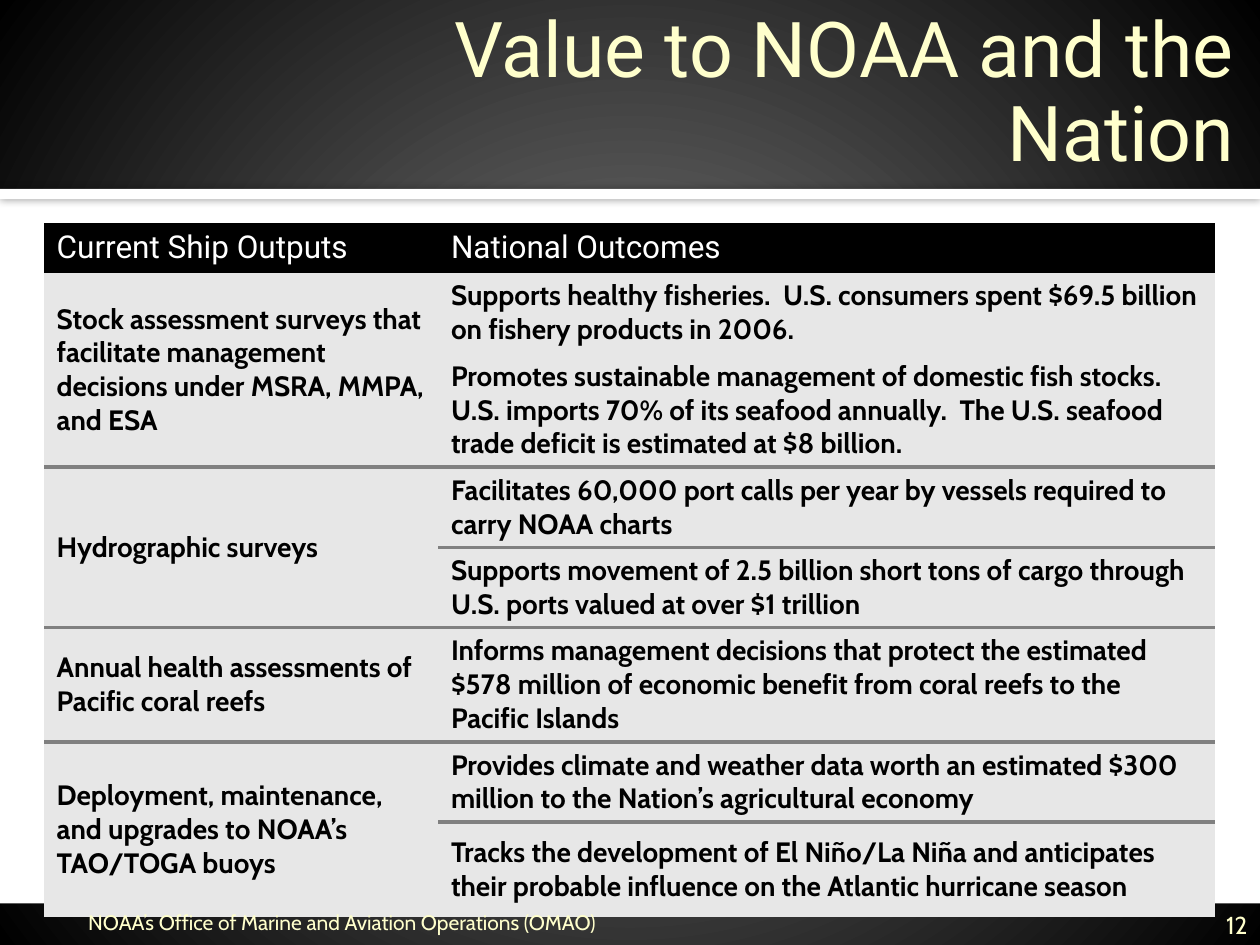
import pptx
import pptx.util
import pptx.dml.color
import pptx.enum.shapes
import pptx.enum.text
import pptx.oxml
import pptx.oxml.ns

Inches, Pt = pptx.util.Inches, pptx.util.Pt
PP, MSO = pptx.enum.text.PP_ALIGN, pptx.enum.text.MSO_ANCHOR
qn = pptx.oxml.ns.qn
NS = pptx.oxml.ns.nsdecls("a")

# Content
TITLE = "Value to NOAA and the Nation"
FOOT = "NOAA’s Office of Marine and Aviation Operations (OMAO)"
PAGE = "12"
HEADS = ["Current Ship Outputs", "National Outcomes"]
GROUPS = [
    ("Stock assessment surveys that facilitate management decisions under MSRA, MMPA, and ESA",
     [("Supports healthy fisheries.  U.S. consumers spent $69.5 billion on fishery products in 2006.", 0.6),
      ("Promotes sustainable management of domestic fish stocks.  U.S. imports 70% of its seafood "
       "annually.  The U.S. seafood trade deficit is estimated at $8 billion.", 0.85)]),
    ("Hydrographic surveys",
     [("Facilitates 60,000 port calls per year by vessels required to carry NOAA charts", 0.6),
      ("Supports movement of 2.5 billion short tons of cargo through U.S. ports valued at over "
       "$1 trillion", 0.6)]),
    ("Annual health assessments of Pacific coral reefs",
     [("Informs management decisions that protect the estimated $578 million of economic benefit "
       "from coral reefs to the Pacific Islands", 0.75)]),
    ("Deployment, maintenance, and upgrades to NOAA’s TAO/TOGA buoys",
     [("Provides climate and weather data worth an estimated $300 million to the Nation’s "
       "agricultural economy", 0.6),
      ("Tracks the development of El Niño/La Niña and anticipates their probable influence on the "
       "Atlantic hurricane season", 0.75)]),
]
COLS = [3.13, 6.16]
HEAD_H = 0.38

COLORS = {"white": "FFFFFF", "black": "000000", "cream": "FFFFCC",
          "gray": "7F7F7F", "cell": "E7E7E7", "rule": "808080"}
FORMATS = {
    "title": {"name": "Roboto", "size": Pt(44), "color": "cream"},
    "head": {"name": "Roboto", "size": Pt(18), "color": "white"},
    "body": {"name": "Cabin", "size": Pt(16), "bold": True, "color": "black"},
    "page": {"name": "Cabin", "size": Pt(14), "color": "cream"},
    "foot": {"name": "Cabin", "size": Pt(12), "color": "cream"},
}


def rgb(key):
    return pptx.dml.color.RGBColor.from_string(COLORS[key])


def write(frame, text, style, align=PP.LEFT):
    para = frame.paragraphs[0]
    para.alignment = align
    run = para.add_run()
    run.text = text
    for key, val in FORMATS[style].items():
        if key == "color":
            run.font.color.rgb = rgb(val)
        else:
            setattr(run.font, key, val)
    return para


def inset(frame, left, right):
    frame.word_wrap = True
    frame.margin_left, frame.margin_right = Inches(left), Inches(right)
    frame.margin_top = frame.margin_bottom = Inches(0.05)


def fill_cell(cell, text, style, shade, anchor):
    write(cell.text_frame, text, style)
    cell.vertical_anchor = anchor
    cell.fill.solid()
    cell.fill.fore_color.rgb = rgb(shade)


def border(cell, tags):
    props = cell._tc.get_or_add_tcPr()
    for spot, tag in enumerate(tags):
        props.insert(spot, pptx.oxml.parse_xml(
            f'<a:{tag} {NS} w="{Pt(2.25)}"><a:solidFill><a:srgbClr val="{COLORS["rule"]}"/>'
            f'</a:solidFill></a:{tag}>'))


deck = pptx.Presentation()
deck.slide_width, deck.slide_height = Inches(10), Inches(7.5)
slide = deck.slides.add_slide(deck.slide_layouts[5])

# Round gradient background
back = slide.background.fill
back.gradient()
for stop, key, pos in zip(back.gradient_stops, ["gray", "black"], [0, 1]):
    stop.color.rgb, stop.position = rgb(key), pos
grad = slide.element.find(".//" + qn("a:gradFill"))
grad.replace(grad.find(qn("a:lin")), pptx.oxml.parse_xml(
    f'<a:path {NS} path="circle"><a:fillToRect l="50000" t="50000" r="50000" b="50000"/></a:path>'))

# White panel and the shaded strip on its top edge
for high in (5.67, 0.08):
    strip = slide.shapes.add_shape(pptx.enum.shapes.MSO_SHAPE.RECTANGLE,
                                   0, Inches(1.5), Inches(10), Inches(high))
    strip.shadow.inherit = False
    strip.fill.solid()
    strip.fill.fore_color.rgb = rgb("white")
    strip.line.fill.background()
strip.element.spPr.find(qn("a:effectLst")).append(pptx.oxml.parse_xml(
    f'<a:outerShdw {NS} blurRad="{Pt(5)}" dist="0" dir="0"><a:srgbClr val="{COLORS["black"]}">'
    '<a:alpha val="40000"/></a:srgbClr></a:outerShdw>'))

# Title
title = slide.shapes.title
title.left, title.top, title.width, title.height = map(Inches, (1.67, 0, 8.33, 1.5))
inset(title.text_frame, 0.1, 0.2)
title.text_frame.auto_size = pptx.enum.text.MSO_AUTO_SIZE.NONE
title.text_frame.vertical_anchor = MSO.MIDDLE
write(title.text_frame, TITLE, "title", PP.RIGHT).line_spacing = 0.9

# Table: each output spans its outcomes
highs = [HEAD_H] + [high for _, outs in GROUPS for _, high in outs]
table = slide.shapes.add_table(len(highs), len(COLS), Inches(0.35), Inches(1.77),
                               Inches(sum(COLS)), Inches(sum(highs))).table
table.first_row = table.horz_banding = False
# Plain style without grid
table._tbl.tblPr.find(qn("a:tableStyleId")).text = "{2D5ABB26-0587-4C30-8999-92F81FD0307C}"
for col, wide in zip(table.columns, COLS):
    col.width = Inches(wide)
for row, high in zip(table.rows, highs):
    row.height = Inches(high)
for col, text in enumerate(HEADS):
    fill_cell(table.cell(0, col), text, "head", "black", MSO.TOP)

row = 1
for num, (output, outs) in enumerate(GROUPS):
    end = row + len(outs) - 1
    above = ["lnT"] if num else []
    below = ["lnB"] if num < len(GROUPS) - 1 else []
    left = table.cell(row, 0)
    if end > row:
        left.merge(table.cell(end, 0))
        border(table.cell(end, 0), below)
    fill_cell(left, output, "body", "cell", MSO.MIDDLE)
    border(left, above + below)
    for at, (text, _) in enumerate(outs, row):
        cell = table.cell(at, 1)
        fill_cell(cell, text, "body", "cell", MSO.MIDDLE)
        border(cell, (above if at == row else []) + (below if at == end else []))
    row = end + 1

# Page number and footer
for text, style, x, wide, pad, align in [(PAGE, "page", 7.67, 2.33, 0.1, PP.RIGHT),
                                         (FOOT, "foot", 0, 7.67, 0.7, PP.LEFT)]:
    box = slide.shapes.add_textbox(Inches(x), Inches(7.17), Inches(wide), Inches(0.33))
    inset(box.text_frame, pad, 0.1)
    write(box.text_frame, text, style, align)

deck.save("out.pptx")
